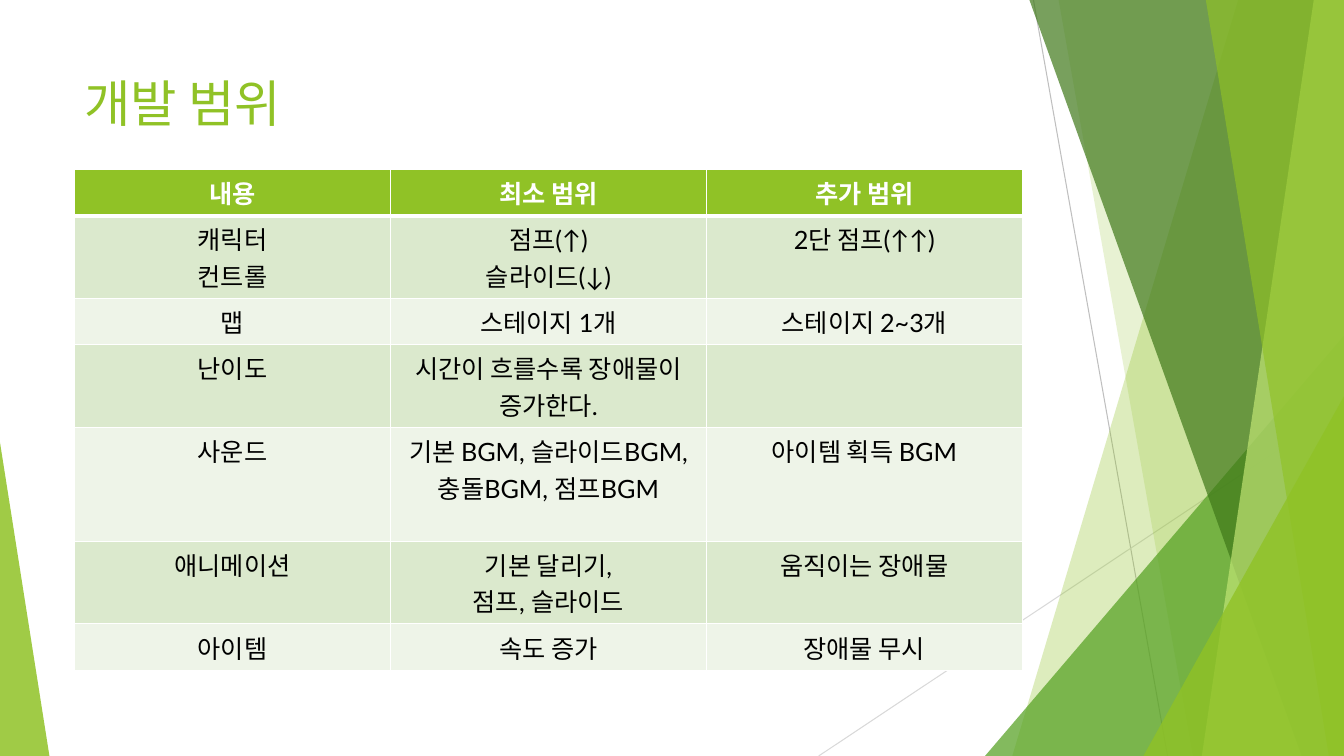
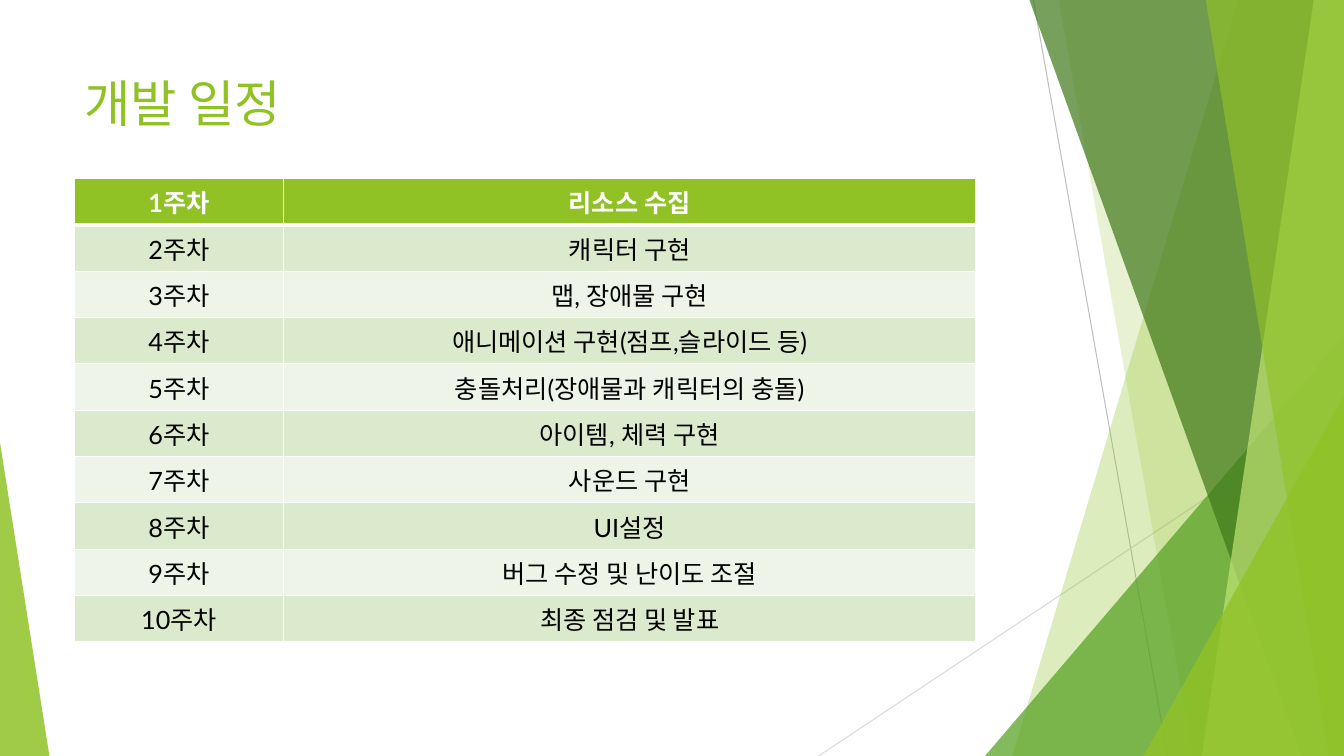
from lxml.etree import SubElement
from pptx import Presentation
from pptx.dml.color import RGBColor
from pptx.enum.shapes import MSO_CONNECTOR as Connector, MSO_SHAPE as Preset
from pptx.enum.text import MSO_ANCHOR as Anchor, PP_ALIGN as Align
from pptx.oxml.ns import qn
from pptx.util import Inches, Pt

WIDTH, HEIGHT = 13.33, 7.5
FONT = "Lato"
WHITE = RGBColor(0xFF, 0xFF, 0xFF)
BLACK = RGBColor(0x00, 0x00, 0x00)
LIME = RGBColor(0x90, 0xC2, 0x26)
PALE_LIME = RGBColor(0xC0, 0xE4, 0x74)
GREEN = RGBColor(0x54, 0xA0, 0x21)
DARK_GREEN = RGBColor(0x3F, 0x78, 0x19)
ROW_TINT = RGBColor(0xDB, 0xE9, 0xCD)
ROW_LIGHT = RGBColor(0xEE, 0xF4, 0xE8)
GRAY = RGBColor(0xBF, 0xBF, 0xBF)
LIGHT_GRAY = RGBColor(0xD9, 0xD9, 0xD9)

CONTENT_LEFT = 0.74
ONE_LINE, TWO_LINES, THREE_LINES = 0.46, 0.82, 1.13

SCOPE_ROWS = [
    ["내용", "최소 범위", "추가 범위"],
    ["캐릭터\n컨트롤", "점프(↑)\n슬라이드(↓)", "2단 점프(↑↑)"],
    ["맵", "스테이지 1개", "스테이지 2~3개"],
    ["난이도", "시간이 흐를수록 장애물이 증가한다.", ""],
    ["사운드", "기본 BGM, 슬라이드BGM, 충돌BGM, 점프BGM", "아이템 획득 BGM"],
    ["애니메이션", "기본 달리기,\n점프, 슬라이드", "움직이는 장애물"],
    ["아이템", "속도 증가", "장애물 무시"],
]
SCOPE_HEIGHTS = [ONE_LINE, TWO_LINES, ONE_LINE, TWO_LINES, THREE_LINES, TWO_LINES, ONE_LINE]
WEEKLY_TASKS = [
    "리소스 수집", "캐릭터 구현", "맵, 장애물 구현", "애니메이션 구현(점프,슬라이드 등)",
    "충돌처리(장애물과 캐릭터의 충돌)", "아이템, 체력 구현", "사운드 구현", "UI설정",
    "버그 수정 및 난이도 조절", "최종 점검 및 발표",
]
SCHEDULE_ROWS = [[f"{week}주차", task] for week, task in enumerate(WEEKLY_TASKS, 1)]
SCHEDULE_HEIGHTS = [ONE_LINE] * len(SCHEDULE_ROWS)


def paint(shape, color, opacity):
    shape.shadow.inherit = False
    shape.line.fill.background()
    shape.fill.solid()
    shape.fill.fore_color.rgb = color
    color_element = shape.fill._xPr.find(qn("a:solidFill"))[0]
    SubElement(color_element, qn("a:alpha"), val=str(opacity * 1000))


def add_hairline(slide, start, end, color):
    points = [Inches(value) for value in (*start, *end)]
    line = slide.shapes.add_connector(Connector.STRAIGHT, *points)
    line.line.color.rgb = color
    line.line.width = Pt(0.75)
    SubElement(line._element.spPr, qn("a:effectLst"))


def add_slanted_band(slide, top_left, bottom_left, color, opacity):
    corners = [(top_left, 0), (WIDTH, 0), (WIDTH, HEIGHT), (bottom_left, HEIGHT)]
    points = [(Inches(x), Inches(y)) for x, y in corners]
    builder = slide.shapes.build_freeform(*points[0])
    builder.add_line_segments(points[1:], close=True)
    paint(builder.convert_to_shape(), color, opacity)


def add_corner_triangle(slide, left, top, width, apex, color, opacity):
    shape = slide.shapes.add_shape(
        Preset.ISOSCELES_TRIANGLE, Inches(left), Inches(top), Inches(width), Inches(HEIGHT - top))
    shape.adjustments[0] = apex
    paint(shape, color, opacity)


def add_backdrop(slide):
    add_hairline(slide, (10.25, 0), (11.58, HEIGHT), GRAY)
    add_hairline(slide, (WIDTH, 4.03), (8.12, HEIGHT), LIGHT_GRAY)
    add_slanted_band(slide, 12.28, 10.04, LIME, 30)
    add_slanted_band(slide, 10.5, 11.83, LIME, 20)
    add_corner_triangle(slide, 9.77, 3.33, 3.56, 1, GREEN, 72)
    add_slanted_band(slide, 10.21, 12.91, DARK_GREEN, 70)
    add_slanted_band(slide, 13.03, 11.92, PALE_LIME, 70)
    add_slanted_band(slide, 11.96, 13.18, LIME, 65)
    add_corner_triangle(slide, 11.34, 3.93, 1.99, 1, LIME, 80)
    add_corner_triangle(slide, 0, 4.39, 0.49, 0, LIME, 85)


def add_run(paragraph, text, size, color, bold=False):
    run = paragraph.add_run()
    run.text = text
    run.font.name = FONT
    run.font.size = Pt(size)
    run.font.bold = bold
    run.font.color.rgb = color


def add_title(slide, text):
    box = slide.shapes.add_textbox(
        Inches(CONTENT_LEFT), Inches(0.67), Inches(9.4), Inches(1.44))
    frame = box.text_frame
    frame.word_wrap = True
    frame.vertical_anchor = Anchor.TOP
    add_run(frame.paragraphs[0], text, 36, LIME)


def set_borders(cell, top, bottom):
    properties = cell._tc.get_or_add_tcPr()
    for side, points in (("L", 1), ("R", 1), ("T", top), ("B", bottom)):
        border = SubElement(properties, qn(f"a:ln{side}"), w=str(Pt(points)))
        fill = SubElement(border, qn("a:solidFill"))
        SubElement(fill, qn("a:srgbClr"), val=str(WHITE))


def fill_cell(cell, text, row):
    header = row == 0
    set_borders(cell, 3 if row == 1 else 1, 3 if header else 1)
    cell.fill.solid()
    cell.fill.fore_color.rgb = LIME if header else (ROW_LIGHT, ROW_TINT)[row % 2]
    frame = cell.text_frame
    for index, line in enumerate(text.split("\n") if text else []):
        paragraph = frame.add_paragraph() if index else frame.paragraphs[0]
        paragraph.alignment = Align.CENTER
        add_run(paragraph, line, 18, WHITE if header else BLACK, header)


def add_grid(slide, top, column_widths, row_heights, rows):
    table = slide.shapes.add_table(
        len(rows), len(column_widths), Inches(CONTENT_LEFT), Inches(top),
        Inches(sum(column_widths)), Inches(sum(row_heights))).table
    table.horz_banding = False
    for column, width in zip(table.columns, column_widths):
        column.width = Inches(width)
    for row, (height, texts) in enumerate(zip(row_heights, rows)):
        table.rows[row].height = Inches(height)
        for column, text in enumerate(texts):
            fill_cell(table.cell(row, column), text, row)


def add_table_slide(presentation, title, top, column_widths, row_heights, rows):
    slide = presentation.slides.add_slide(presentation.slide_layouts[6])
    add_backdrop(slide)
    add_title(slide, title)
    add_grid(slide, top, column_widths, row_heights, rows)


def main():
    presentation = Presentation()
    presentation.slide_width = Inches(WIDTH)
    presentation.slide_height = Inches(HEIGHT)
    add_table_slide(
        presentation, "개발 범위", 1.68, [9.4 / 3] * 3, SCOPE_HEIGHTS, SCOPE_ROWS)
    add_table_slide(
        presentation, "개발 일정", 1.77, [2.07, 6.87], SCHEDULE_HEIGHTS, SCHEDULE_ROWS)
    presentation.save("out.pptx")


if __name__ == "__main__":
    main()
